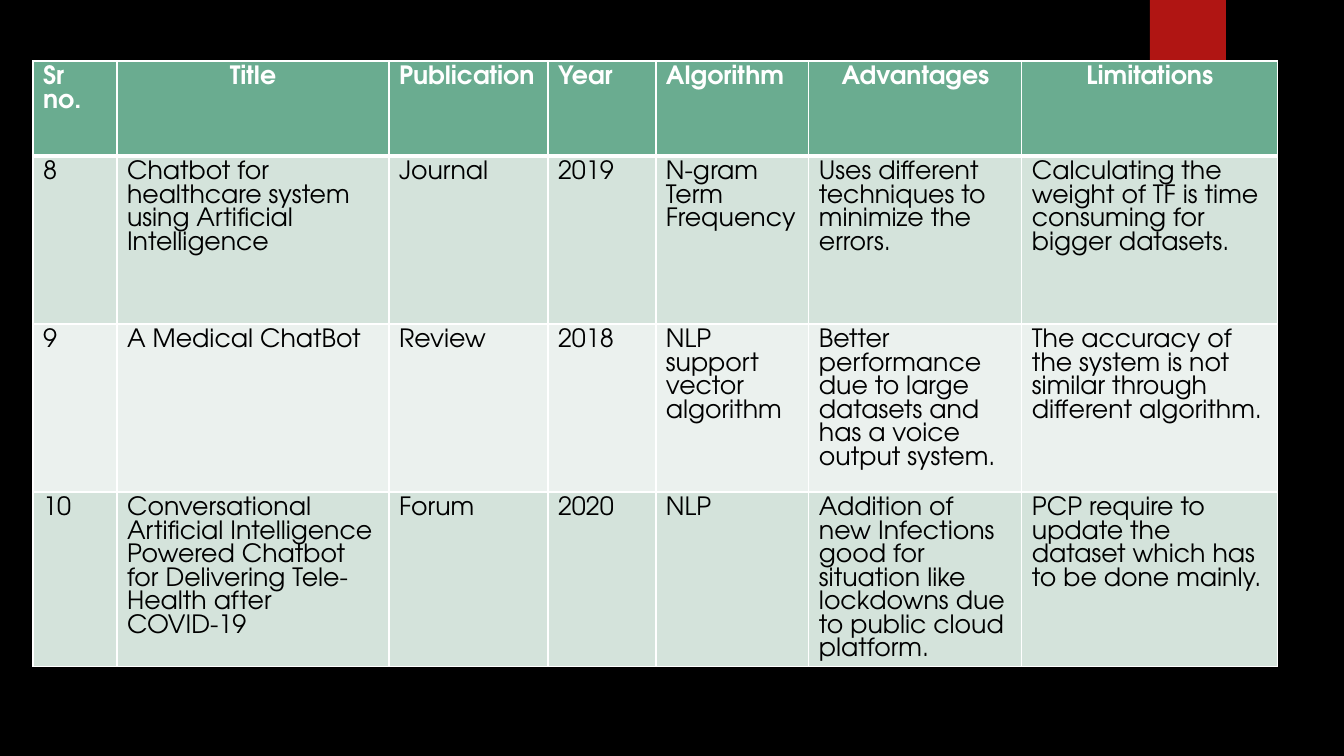
from lxml import etree
from pptx import Presentation
from pptx.dml.color import RGBColor
from pptx.enum.shapes import MSO_SHAPE
from pptx.enum.text import PP_ALIGN
from pptx.oxml.ns import qn
from pptx.util import Emu, Pt

RECTANGLE = MSO_SHAPE.RECTANGLE
LEFT, CENTER = PP_ALIGN.LEFT, PP_ALIGN.CENTER

HEADINGS = ["Sr no.", "Title", "Publication", "Year", "Algorithm", "Advantages", "Limitations"]
CENTERED_HEADINGS = {"Title", "Advantages", "Limitations"}
PAPERS = [
    ["8", "Chatbot for healthcare system using Artificial Intelligence", "Journal", "2019",
     "N-gram Term Frequency",
     "Uses different techniques to minimize the errors.",
     "Calculating the weight of TF is time consuming for bigger datasets."],
    ["9", "A Medical ChatBot", "Review", "2018",
     "NLP support vector algorithm",
     "Better performance due to large datasets and has a voice output system.",
     "The accuracy of the system is not similar through different algorithm."],
    ["10", "Conversational Artificial Intelligence Powered Chatbot for Delivering "
     "Tele-Health after COVID-19", "Forum", "2020",
     "NLP",
     "Addition of new Infections good for situation like lockdowns due to public cloud platform.",
     "PCP require to update the dataset which has to be done mainly."],
]
COLUMN_WIDTHS = [84, 272, 159, 108, 153, 213, 256]
ROW_HEIGHTS = [95, 168, 168, 168]
SURVEY_LEFT, SURVEY_TOP = 33, 61
RIBBON_BOX = (1150, 0, 76, 126)
SLIDE_SIZE = (1344, 756)

FONT = "TeX Gyre Adventor"
COLORS = {
    "background": "000000",
    "ribbon": "B01513",
    "heading": "6AAC90",
    "odd": "D4E3DB",
    "even": "EBF1EE",
    "heading_text": "FFFFFF",
    "body_text": "000000",
    "border": "FFFFFF",
}


def px(length):
    return Emu(round(length * 914400 / 100.8))


def color(name):
    return RGBColor.from_string(COLORS[name])


def paint(fill, name):
    fill.solid()
    fill.fore_color.rgb = color(name)


def add_borders(cell, top, bottom):
    properties = cell._tc.get_or_add_tcPr()
    widths = {"a:lnL": 1, "a:lnR": 1, "a:lnT": top, "a:lnB": bottom}
    for position, (side, width) in enumerate(widths.items()):
        line = etree.Element(qn(side), w=str(Pt(width)))
        solid = etree.SubElement(line, qn("a:solidFill"))
        etree.SubElement(solid, qn("a:srgbClr"), val=COLORS["border"])
        properties.insert(position, line)


def main():
    prs = Presentation()
    prs.slide_width, prs.slide_height = map(px, SLIDE_SIZE)
    slide = prs.slides.add_slide(prs.slide_layouts[6])
    paint(slide.background.fill, "background")

    ribbon = slide.shapes.add_shape(RECTANGLE, *map(px, RIBBON_BOX))
    ribbon.shadow.inherit = False
    paint(ribbon.fill, "ribbon")
    ribbon.line.fill.background()

    rows = [HEADINGS] + PAPERS
    survey = slide.shapes.add_table(
        len(rows), len(HEADINGS), px(SURVEY_LEFT), px(SURVEY_TOP),
        px(sum(COLUMN_WIDTHS)), px(sum(ROW_HEIGHTS))).table
    for column, width in zip(survey.columns, COLUMN_WIDTHS):
        column.width = px(width)
    for row, height in zip(survey.rows, ROW_HEIGHTS):
        row.height = px(height)

    for r, entries in enumerate(rows):
        is_heading = r == 0
        band = "heading" if is_heading else ("odd" if r % 2 else "even")
        for c, entry in enumerate(entries):
            cell = survey.cell(r, c)
            cell.text = entry
            paint(cell.fill, band)
            add_borders(cell, 3 if r == 1 else 1, 3 if is_heading else 1)
            paragraph = cell.text_frame.paragraphs[0]
            paragraph.alignment = CENTER if is_heading and entry in CENTERED_HEADINGS else LEFT
            paragraph.font.name = FONT
            paragraph.font.size = Pt(18)
            paragraph.font.bold = is_heading
            paragraph.font.color.rgb = color("heading_text" if is_heading else "body_text")

    prs.save("out.pptx")


if __name__ == "__main__":
    main()
